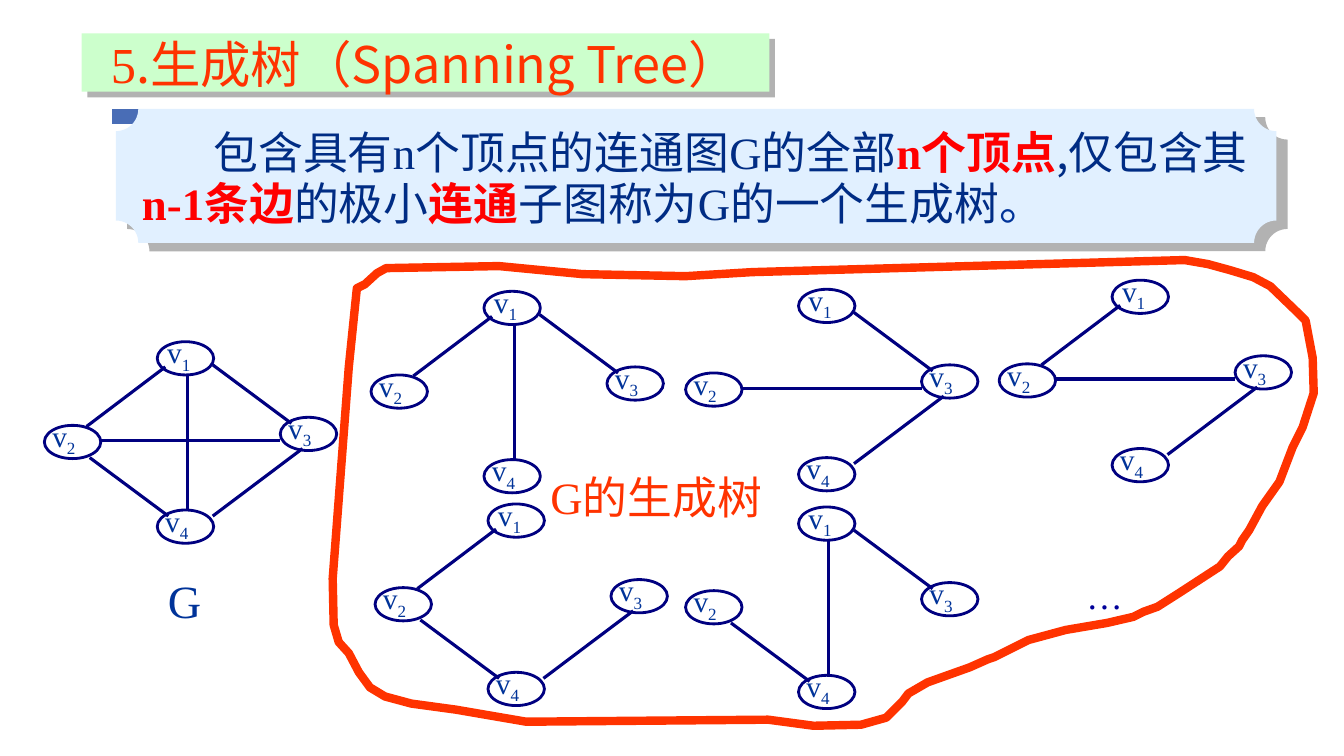
from dataclasses import dataclass

from lxml.etree import SubElement
from pptx import Presentation
from pptx.dml.color import RGBColor
from pptx.enum.shapes import MSO_CONNECTOR, MSO_SHAPE
from pptx.enum.text import MSO_ANCHOR, MSO_AUTO_SIZE, PP_ALIGN
from pptx.oxml.ns import qn
from pptx.util import Inches, Pt


@dataclass(frozen=True)
class Theme:
    latin: str = "Times New Roman"
    asian: str = "Noto Sans CJK SC"
    navy: str = "000080"
    ink: str = "002C84"
    blue: str = "003399"
    dots: str = "000099"
    red: str = "FF0000"
    flame: str = "FF3300"
    mint: str = "CCFFCC"
    sky: str = "E1F0FF"
    gray: str = "B2B2B2"
    black: str = "000000"
    bar: tuple = ("496DB6", "6699FF")
    title: int = 36
    body: int = 32
    name: int = 33
    more: int = 26
    label: int = 21


THEME = Theme()
NODES = {1: (0, 0), 2: (-1.12, 0.83), 3: (1.22, 0.75), 4: (0, 1.67)}
EDGES = {
    "12": (-0.7, 0.84, 0.08, 0.25),
    "13": (0.55, 0.23, 1.33, 0.81),
    "14": (0.3, 0.34, 0.3, 1.67),
    "23": (-0.56, 0.98, 1.22, 0.98),
    "24": (-0.67, 1.15, 0.11, 1.73),
    "34": (0.55, 1.73, 1.44, 1.06),
}
GRAPHS = [
    (1.56, 3.39, list(EDGES)),
    (4.8, 2.89, ["12", "13", "14"]),
    (7.92, 2.87, ["13", "23", "34"]),
    (11.03, 2.78, ["12", "23", "34"]),
    (4.84, 5, ["12", "24", "34"]),
    (7.92, 5.03, ["13", "14", "24"]),
]
LOOP = [
    (3.54, 2.86), (3.46, 3.64), (3.3, 5.74), (3.31, 6.2), (3.36, 6.37),
    (3.46, 6.48), (3.56, 6.67), (3.67, 6.82), (3.82, 6.91), (4.08, 6.98),
    (4.52, 7.04), (5.22, 7.16), (7.62, 7.14), (8.07, 7.2), (8.54, 7.19),
    (8.79, 7.12), (8.95, 6.96), (9.01, 6.88), (9.2, 6.77), (9.62, 6.62),
    (9.8, 6.54), (9.86, 6.52), (10.2, 6.35), (10.57, 6.25), (10.98, 6.18),
    (11.24, 6.12), (11.34, 6.07), (11.48, 6.02), (11.7, 5.88), (12.1, 5.62),
    (12.18, 5.52), (12.29, 5.42), (12.32, 5.36), (12.39, 5.26), (12.52, 5.02),
    (12.69, 4.78), (12.82, 4.44), (12.92, 4.24), (13.03, 3.9), (13.02, 3.55),
    (12.95, 3.18), (12.87, 3.1), (12.6, 2.84), (12.43, 2.75), (12.2, 2.68),
    (11.98, 2.62), (11.75, 2.58), (7.46, 2.7), (6.8, 2.74), (5.78, 2.72),
    (4.95, 2.64), (3.83, 2.66), (3.74, 2.71), (3.62, 2.82),
]


def paint(hue):
    return RGBColor.from_string(hue)


def cast(host, hue, dist, angle):
    shade = SubElement(host, qn("a:outerShdw"), dist=str(Pt(dist)),
                       dir=str(angle * 60000), algn="ctr", rotWithShape="0")
    SubElement(shade, qn("a:srgbClr"), val=hue)


def write(shape, parts, size, hue, align=PP_ALIGN.LEFT, wrap=True,
          font=None, space=None, indent=0, shade=False):
    frame = shape.text_frame
    frame.word_wrap = wrap
    frame.auto_size = MSO_AUTO_SIZE.SHAPE_TO_FIT_TEXT
    frame.vertical_anchor = MSO_ANCHOR.TOP
    para = frame.paragraphs[0]
    para.alignment = align
    if space:
        para.line_spacing = space
    if indent:
        props = para._p.get_or_add_pPr()
        props.set("marL", "0")
        props.set("indent", str(Inches(indent)))
    for text, extra in parts:
        run = para.add_run()
        run.text = text
        face = font or (THEME.latin if text.isascii() else THEME.asian)
        run.font.size = Pt(size)
        run.font.bold = extra.get("bold", False)
        run.font.color.rgb = paint(extra.get("hue", hue))
        props = run._r.get_or_add_rPr()
        if "base" in extra:
            props.set("baseline", str(extra["base"]))
        if shade:
            cast(SubElement(props, qn("a:effectLst")), THEME.black, 2, 45)
        run.font.name = face
        SubElement(props, qn("a:ea"), typeface=face)
    return shape


def label(slide, box, parts, **style):
    shape = slide.shapes.add_textbox(*map(Inches, box))
    return write(shape, parts, **style)


def block(slide, kind, box, fill=None, line=None, drop=None):
    shape = slide.shapes.add_shape(kind, *map(Inches, box))
    shape.shadow.inherit = False
    if fill:
        shape.fill.solid()
        shape.fill.fore_color.rgb = paint(fill)
    else:
        shape.fill.background()
    if line:
        shape.line.color.rgb = paint(line)
        shape.line.width = Pt(2)
    else:
        shape.line.fill.background()
    if drop:
        host = shape.element.spPr.find(qn("a:effectLst"))
        cast(host, THEME.gray, *drop)
    return shape


def edge(slide, ends):
    line = slide.shapes.add_connector(MSO_CONNECTOR.STRAIGHT, *map(Inches, ends))
    line.line.color.rgb = paint(THEME.navy)
    line.line.width = Pt(2.25)
    SubElement(line.element.spPr, qn("a:effectLst"))


def graph(slide, left, top, links):
    spots = {n: (left + x, top + y) for n, (x, y) in NODES.items()}
    for x, y in spots.values():
        block(slide, MSO_SHAPE.OVAL, (x, y, 0.56, 0.33), line=THEME.navy)
    for link in links:
        x1, y1, x2, y2 = EDGES[link]
        edge(slide, (left + x1, top + y1, left + x2, top + y2))
    for n, (x, y) in spots.items():
        shift = 0 if n == 1 else 0.02
        label(slide, (x - shift, y - 0.12, 0.45, 0.45),
              [("v", {}), (str(n), {"base": -25000})],
              size=THEME.label, hue=THEME.blue, wrap=False)


def loop(slide):
    first, *rest = [(Inches(x), Inches(y)) for x, y in LOOP]
    pen = slide.shapes.build_freeform(*first)
    pen.add_line_segments(rest, close=True)
    shape = pen.convert_to_shape()
    shape.shadow.inherit = False
    shape.fill.background()
    shape.line.color.rgb = paint(THEME.flame)
    shape.line.width = Pt(6)


def head(slide):
    plate = block(slide, MSO_SHAPE.RECTANGLE, (0.81, 0.33, 6.82, 0.58),
                  fill=THEME.mint, drop=(5.7, 45))
    title = slide.shapes.title
    title.left, title.top, title.width, title.height = map(
        Inches, (1, 0.28, 6.82, 0.71))
    write(title, [("5", {}), (".生成树（Spanning Tree）", {})],
          size=THEME.title, hue=THEME.flame)
    plate.element.addnext(title.element)


def define(slide):
    bar = block(slide, MSO_SHAPE.RECTANGLE, (1.11, 1.08, 11.03, 0.15))
    bar.fill.gradient()
    bar.fill.gradient_angle = 0
    for stop, hue in zip(bar.fill.gradient_stops, THEME.bar):
        stop.color.rgb = paint(hue)
    block(slide, MSO_SHAPE.PLAQUE, (1.15, 1.08, 11.51, 1.33),
          fill=THEME.sky, drop=(10, 37))
    key = {"hue": THEME.red, "bold": True}
    label(slide, (1.31, 1.23, 11.24, 1.12), [
        ("包含具有", {}), ("n", {}), ("个顶点的连通图", {}), ("G", {}),
        ("的全部", {}), ("n", key), ("个顶点", key), (",仅包含其", {}),
        ("n-1", key), ("条边", key), ("的极小", {}), ("连通", key),
        ("子图称为", {}), ("G", {}), ("的一个生成树", {}),
        ("。", {"hue": THEME.blue}),
    ], size=THEME.body, hue=THEME.ink, space=0.95, indent=0.71)


def main():
    deck = Presentation()
    deck.slide_width, deck.slide_height = Inches(13.33), Inches(7.5)
    slide = deck.slides.add_slide(deck.slide_layouts[5])
    define(slide)
    head(slide)
    for left, top, links in GRAPHS:
        graph(slide, left, top, links)
    label(slide, (1.56, 5.63, 0.54, 0.66), [("G", {})], size=THEME.name,
          hue=THEME.blue, align=PP_ALIGN.CENTER, wrap=False)
    label(slide, (10.67, 5.64, 0.57, 0.54), [("…", {})], size=THEME.more,
          hue=THEME.dots, align=PP_ALIGN.CENTER, wrap=False, font=THEME.latin)
    loop(slide)
    label(slide, (5.36, 4.61, 2.99, 0.64), [("G", {}), ("的生成树", {})],
          size=THEME.body, hue=THEME.flame, shade=True)
    deck.save("out.pptx")


if __name__ == "__main__":
    main()
